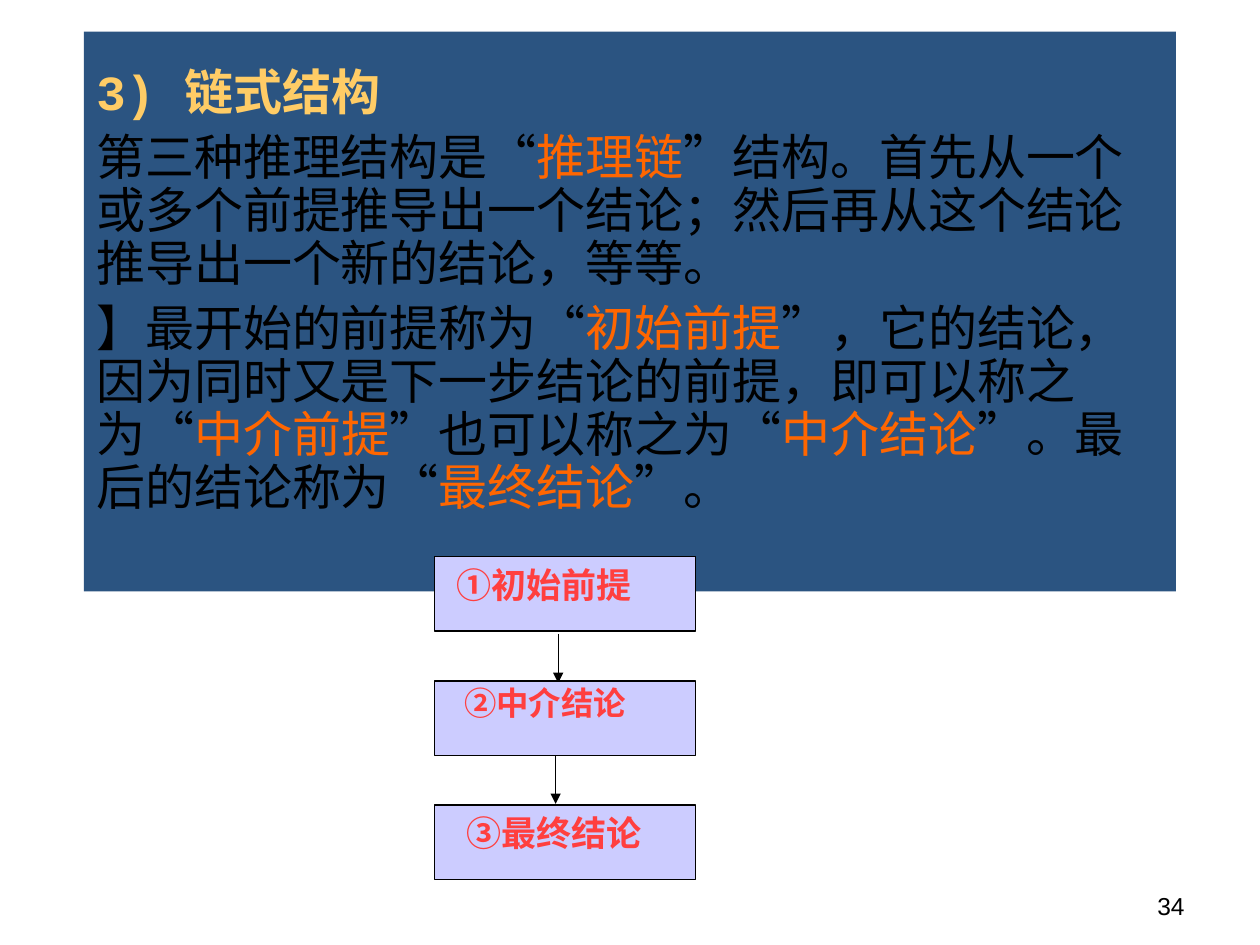
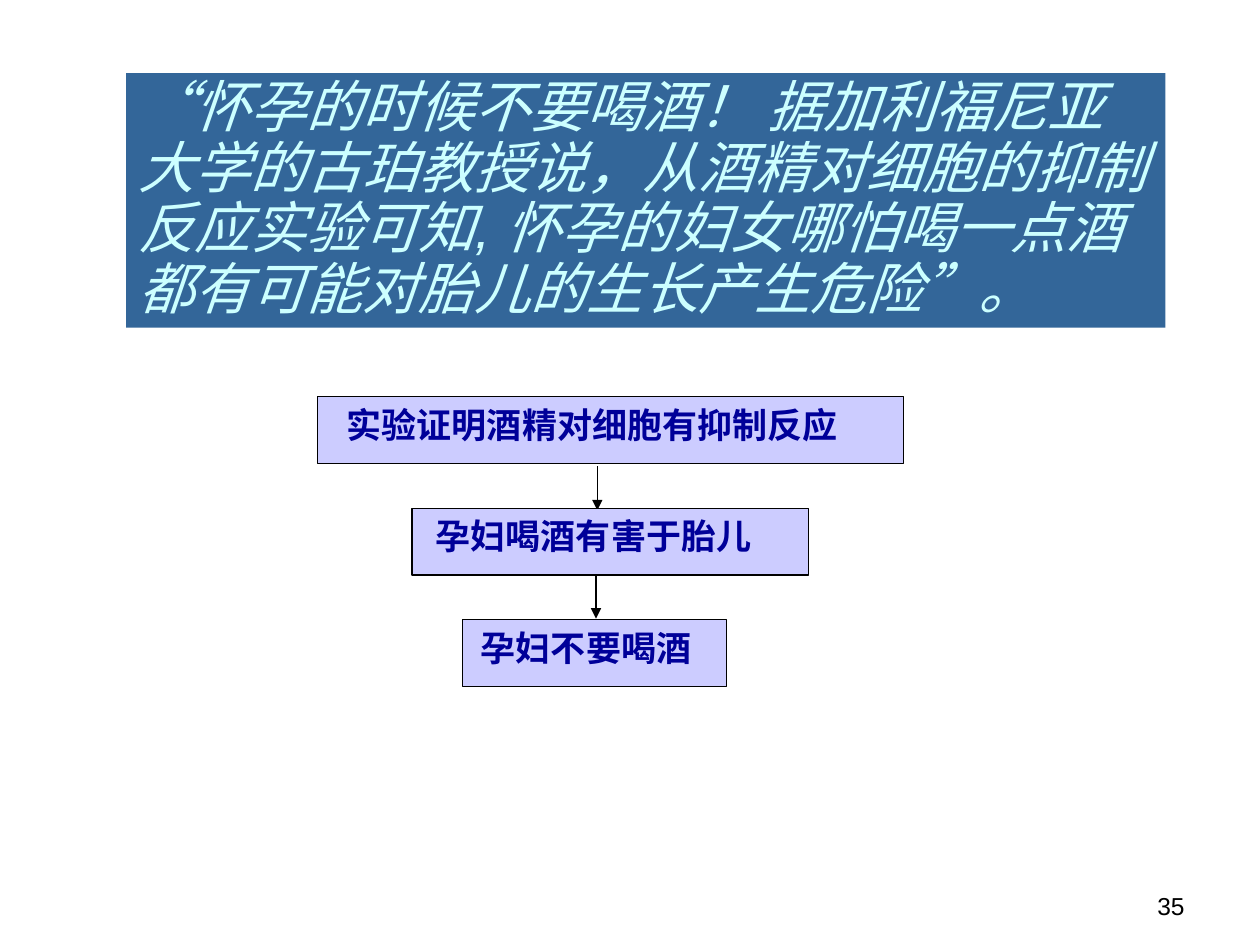
from lxml import etree
from pptx import Presentation
from pptx import util as u
from pptx.dml.color import RGBColor
from pptx.enum import shapes, text
from pptx.oxml.ns import qn

COLORS = {
    "panel": "2B5481", "quote_panel": "336699", "heading": "FFCC66",
    "body": "000000", "accent": "FF6600", "quote": "CCFFFF",
    "step": "CCCCFF", "chain_label": "FF3F3F", "example_label": "000099",
}
FONT = "Arial"
STEP_INSET = 1.44

SLIDES = [
    {
        "number": "34",
        "panel": {
            "frame": (48, 18, 624, 320), "fill": "panel", "top": 21, "size": 28,
            "paragraphs": [
                {"font": "Courier New", "bold": True, "spans": [("3) 链式结构", "heading")]},
                {"spans": [
                    ("第三种推理结构是“", "body"), ("推理链", "accent"),
                    ("”结构。首先从一个或多个前提推导出一个结论；然后再从这个结论推导出一个新的结论，等等。", "body"),
                ]},
                {"spans": [
                    ("】最开始的前提称为“", "body"), ("初始前提", "accent"),
                    ("”，它的结论，因为同时又是下一步结论的前提，即可以称之为“", "body"),
                    ("中介前提", "accent"), ("”也可以称之为“", "body"),
                    ("中介结论", "accent"), ("”。最后的结论称为“", "body"),
                    ("最终结论", "accent"), ("”。", "body"),
                ]},
            ],
        },
        "chain": {
            "top": 318.2, "pitch": 70.9, "height": 42.5, "color": "chain_label",
            "steps": [
                ("①初始前提", 248.4, 149, 11.1, 20, 1),
                ("②中介结论", 248.4, 149, 15.4, 18.5, 0.9),
                ("③最终结论", 248.4, 149, 16.7, 20, 1),
            ],
            "arrows": [(319, 362.2), (317.5, 431.3)], "arrow_length": 28.1,
        },
    },
    {
        "number": "35",
        "panel": {
            "frame": (72, 41.8, 594, 145.4), "fill": "quote_panel", "top": 3.6, "size": 32,
            "paragraphs": [
                {"italic": True, "spans": [
                    ("“怀孕的时候不要喝酒！ 据加利福尼亚大学的古珀教授说，从酒精对细胞的抑制反应实验可知, 怀孕的妇女哪怕喝一点酒都有可能对胎儿的生长产生危险”。", "quote"),
                ]},
            ],
        },
        "chain": {
            "top": 226.8, "pitch": 63.7, "height": 38.2, "color": "example_label",
            "steps": [
                ("实验证明酒精对细胞有抑制反应", 181.4, 334.8, 15.3, 20, 1),
                ("孕妇喝酒有害于胎儿", 235.4, 226.8, 12.2, 20, 1),
                ("孕妇不要喝酒", 264.2, 151.2, 9.2, 20, 1),
            ],
            "arrows": [(341.3, 266.4), (340.6, 328.3)], "arrow_length": 25.2,
        },
    },
]


def color(name):
    return RGBColor.from_string(COLORS[name])


def set_font(font, size, bold=False, italic=False, name=FONT):
    font.name, font.size, font.bold, font.italic = name, u.Pt(size), bold, italic


def add_box(page, frame, fill, side, top):
    box = page.shapes.add_shape(shapes.MSO_SHAPE.RECTANGLE, *map(u.Pt, frame))
    box.shadow.inherit = False
    box.fill.solid()
    box.fill.fore_color.rgb = color(fill)
    box.line.fill.background()
    area = box.text_frame
    area.word_wrap = True
    area.vertical_anchor = text.MSO_ANCHOR.TOP
    area.margin_left = area.margin_right = u.Pt(side)
    area.margin_top, area.margin_bottom = u.Pt(top), u.Pt(3.6)
    area.paragraphs[0].alignment = text.PP_ALIGN.LEFT
    return box


def add_panel(page, panel):
    box = add_box(page, panel["frame"], panel["fill"], 7.2, panel["top"])
    area = box.text_frame
    for index, item in enumerate(panel["paragraphs"]):
        para = area.add_paragraph() if index else area.paragraphs[0]
        para.alignment = text.PP_ALIGN.LEFT
        para.line_spacing = 0.9
        if index:
            para.space_before = u.Pt(7)
        set_font(para.font, panel["size"], item.get("bold", False),
                 item.get("italic", False), item.get("font", FONT))
        for words, tone in item["spans"]:
            span = para.add_run()
            span.text = words
            span.font.color.rgb = color(tone)
            set_font(span.font, panel["size"], item.get("bold", False),
                     item.get("italic", False), item.get("font", FONT))


def add_arrow(page, x, y, length):
    arrow = page.shapes.add_connector(
        shapes.MSO_CONNECTOR.STRAIGHT, u.Pt(x), u.Pt(y), u.Pt(x), u.Pt(y + length))
    arrow.line.color.rgb = color("body")
    arrow.line.width = u.Pt(0.75)
    etree.SubElement(arrow.line._get_or_add_ln(), qn("a:tailEnd"), type="triangle")
    etree.SubElement(arrow._element.spPr, qn("a:effectLst"))


def add_chain(page, chain):
    for x, y in chain["arrows"]:
        add_arrow(page, x, y, chain["arrow_length"])
    for index, (label, left, width, indent, size, spacing) in enumerate(chain["steps"]):
        top = chain["top"] + index * chain["pitch"]
        box = add_box(page, (left, top, width, chain["height"]), "step", STEP_INSET, 3.6)
        box.line.color.rgb = color("body")
        box.line.width = u.Pt(0.75)
        box.text_frame.margin_left = u.Pt(STEP_INSET + indent)
        para = box.text_frame.paragraphs[0]
        para.text = label
        para.line_spacing = spacing
        set_font(para.font, size, bold=True)
        para.font.color.rgb = color(chain["color"])


def add_page_number(page, number):
    box = page.shapes.add_textbox(*map(u.Pt, (516, 492, 168, 37.4)))
    box.text_frame.word_wrap = True
    box.text_frame.vertical_anchor = text.MSO_ANCHOR.BOTTOM
    para = box.text_frame.paragraphs[0]
    para.text = number
    para.alignment = text.PP_ALIGN.RIGHT
    set_font(para.font, 14)
    para.font.color.rgb = color("body")


def main():
    deck = Presentation()
    deck.slide_width, deck.slide_height = u.Pt(720), u.Pt(540)
    for content in SLIDES:
        page = deck.slides.add_slide(deck.slide_layouts[6])
        add_panel(page, content["panel"])
        add_chain(page, content["chain"])
        add_page_number(page, content["number"])
    deck.save("out.pptx")


if __name__ == "__main__":
    main()
